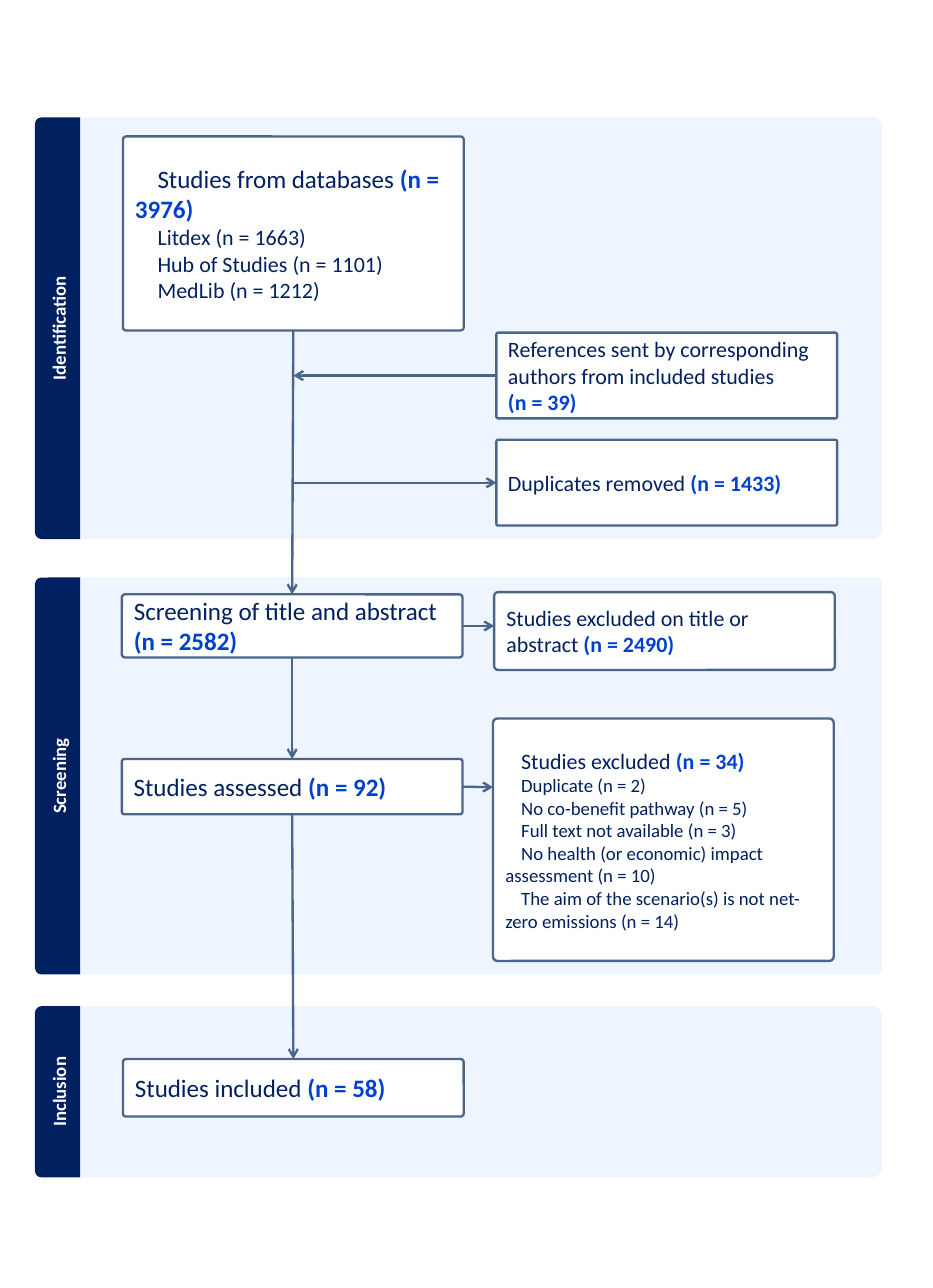
from pptx import Presentation
from pptx import util as u
from pptx.dml.color import RGBColor
from pptx.enum import shapes, text
from pptx.oxml.ns import qn
from lxml import etree

NAVY = RGBColor(0x00, 0x20, 0x60)
BLUE = RGBColor(0x00, 0x40, 0xCF)
PALE = RGBColor(0xEF, 0xF5, 0xFE)
EDGE = RGBColor(0x4C, 0x65, 0x8A)
WHITE = RGBColor(0xFF, 0xFF, 0xFF)
FONT = "Calibri"
WIDE = 3.02
MID = 2.6

# label, top, height, panel corner
stages = [
    ("Identification", 1.04, 3.74, 0.08),
    ("Screening", 5.12, 3.52, 0.04),
    ("Inclusion", 8.92, 1.52, 0.1),
]

# left, top, height, corner, indent, paragraphs of (size, plain, bold)
boxes = {
    "found": (1.09, 1.21, 1.72, 0.016, 0.2, [
        (16, "Studies from databases ", "(n = 3976)"),
        (14, "Litdex (n = 1663)", ""),
        (14, "Hub of Studies (n = 1101)", ""),
        (14, "MedLib (n = 1212)", "")]),
    "sent": (4.4, 2.95, 0.76, 0.02, 0, [
        (14, "References sent by corresponding authors from included studies", ""),
        (14, "", "(n = 39)")]),
    "twins": (4.4, 3.9, 0.76, 0.02, 0, [
        (14, "Duplicates removed ", "(n = 1433)")]),
    "screen": (1.08, 5.27, 0.56, 0.051, 0, [
        (16, "Screening of title and abstract ", "(n = 2582)")]),
    "cut": (4.38, 5.25, 0.69, 0.051, 0, [
        (14, "Studies excluded on title or abstract ", "(n = 2490)")]),
    "read": (1.08, 6.73, 0.49, 0.046, 0, [
        (16, "Studies assessed ", "(n = 92)")]),
    "drop": (4.37, 6.37, 2.15, 0.018, 0.14, [
        (14, "Studies excluded ", "(n = 34)"),
        (12, "Duplicate (n = 2)", ""),
        (12, "No co-benefit pathway (n = 5)", ""),
        (12, "Full text not available (n = 3)", ""),
        (12, "No health (or economic) impact assessment (n = 10)", ""),
        (12, "The aim of the scenario(s) is not net-zero emissions (n = 14)", "")]),
    "kept": (1.09, 9.39, 0.51, 0.052, 0, [
        (16, "Studies included ", "(n = 58)")]),
}

# each end is (box, side) or a point
TOP, LEFT, BOTTOM, RIGHT = range(4)
arrows = [
    (("found", BOTTOM), ("screen", TOP)),
    (("screen", BOTTOM), ("read", TOP)),
    (("read", BOTTOM), ("kept", TOP)),
    (("sent", LEFT), (MID, 3.33)),
    ((MID, 4.28), ("twins", LEFT)),
    (("screen", RIGHT), (4.38, 5.55)),
    (("read", RIGHT), (4.37, 6.98)),
]

deck = Presentation()
deck.slide_width, deck.slide_height = u.Inches(8.27), u.Inches(11.42)
slide = deck.slides.add_slide(deck.slide_layouts[6])


def add_box(kind, left, top, width, height, fill, *corners):
    box = slide.shapes.add_shape(kind, *map(u.Inches, (left, top, width, height)))
    box.shadow.inherit = False
    box.fill.solid()
    box.fill.fore_color.rgb = fill
    box.line.fill.background()
    for i, size in enumerate(corners):
        box.adjustments[i] = size
    frame = box.text_frame
    frame.word_wrap = True
    frame.vertical_anchor = text.MSO_ANCHOR.MIDDLE
    return box


def add_turned(left, top, width, height, fill, turn, corner):
    shift = (width - height) / 2
    box = add_box(shapes.MSO_SHAPE.ROUND_2_SAME_RECTANGLE, left + shift,
                  top - shift, height, width, fill,
                  corner / min(width, height), 0)
    box.rotation = turn
    return box


def add_run(para, words, size, color, bold):
    run = para.add_run()
    run.text = words
    font = run.font
    font.name, font.size, font.bold = FONT, u.Pt(size), bold
    font.color.rgb = color


def add_arrow(start, end):
    line = slide.shapes.add_connector(
        shapes.MSO_CONNECTOR.STRAIGHT, *map(u.Inches, start if start[0] not in made else (0, 0)),
        *map(u.Inches, end if end[0] not in made else (0, 0)))
    for spot, join in ((start, line.begin_connect), (end, line.end_connect)):
        if spot[0] in made:
            join(made[spot[0]], spot[1])
    line.line.color.rgb = EDGE
    line.line.width = u.Pt(1.5)
    etree.SubElement(line.line._get_or_add_ln(), qn("a:tailEnd"), type="arrow")
    etree.SubElement(line._element.spPr, qn("a:effectLst"))


for label, top, height, corner in stages:
    add_turned(0.71, top, 7.11, height, PALE, 90, corner)
    tab = add_turned(0.31, top, 0.4, height, NAVY, 270, 0.06)
    para = tab.text_frame.paragraphs[0]
    para.alignment = text.PP_ALIGN.CENTER
    add_run(para, label, 12, WHITE, True)

made = {}
for name, (left, top, height, corner, indent, paras) in boxes.items():
    box = add_box(shapes.MSO_SHAPE.ROUNDED_RECTANGLE, left, top, WIDE, height,
                  WHITE, corner)
    box.line.color.rgb = EDGE
    box.line.width = u.Pt(1.5)
    made[name] = box
    frame = box.text_frame
    for i, (size, plain, bold) in enumerate(paras):
        para = frame.add_paragraph() if i else frame.paragraphs[0]
        para.alignment = text.PP_ALIGN.LEFT
        para._p.get_or_add_pPr().set("indent", str(u.Inches(indent)))
        if plain:
            add_run(para, plain, size, NAVY, False)
        if bold:
            add_run(para, bold, size, BLUE, True)

for start, end in arrows:
    add_arrow(start, end)

deck.save("out.pptx")
